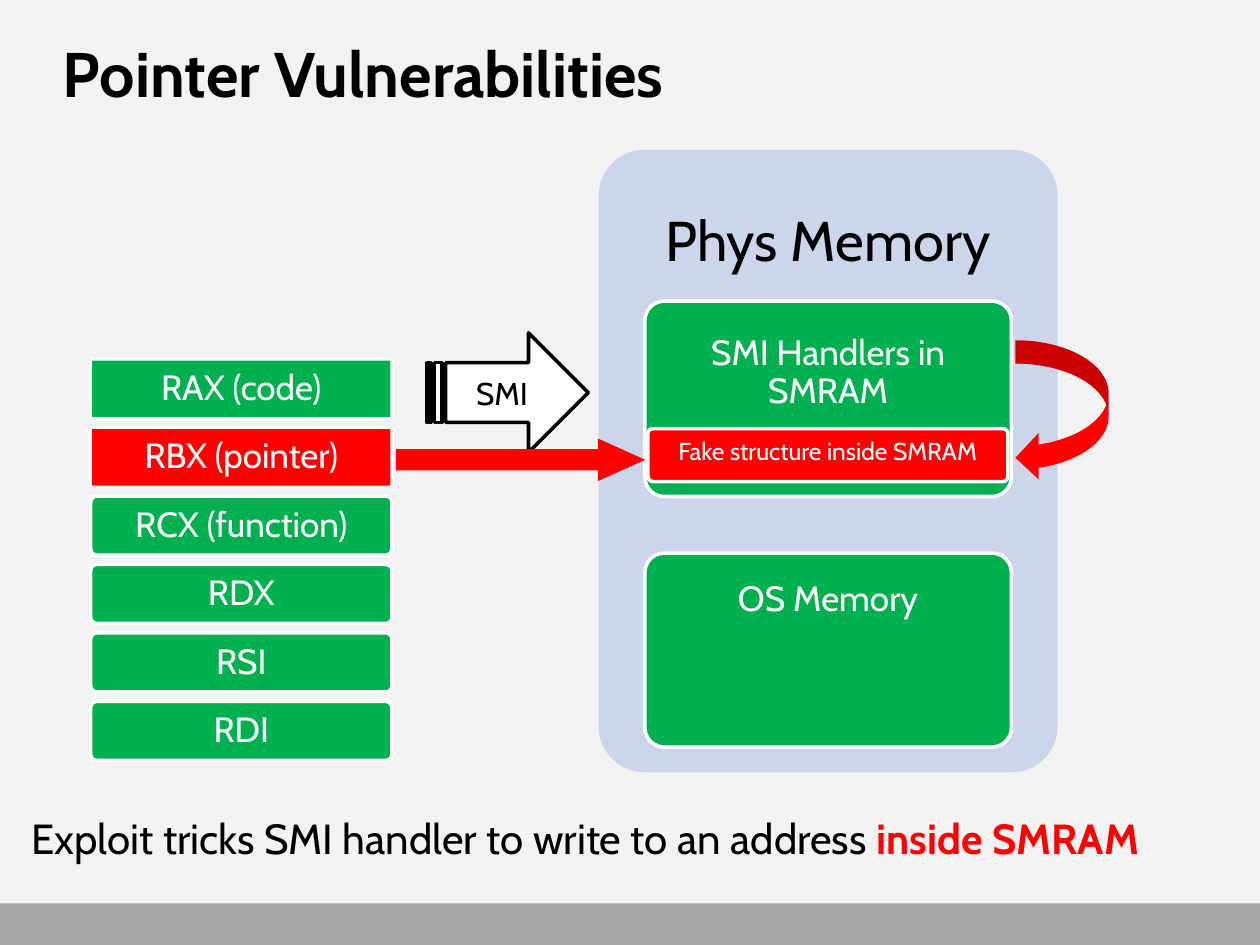
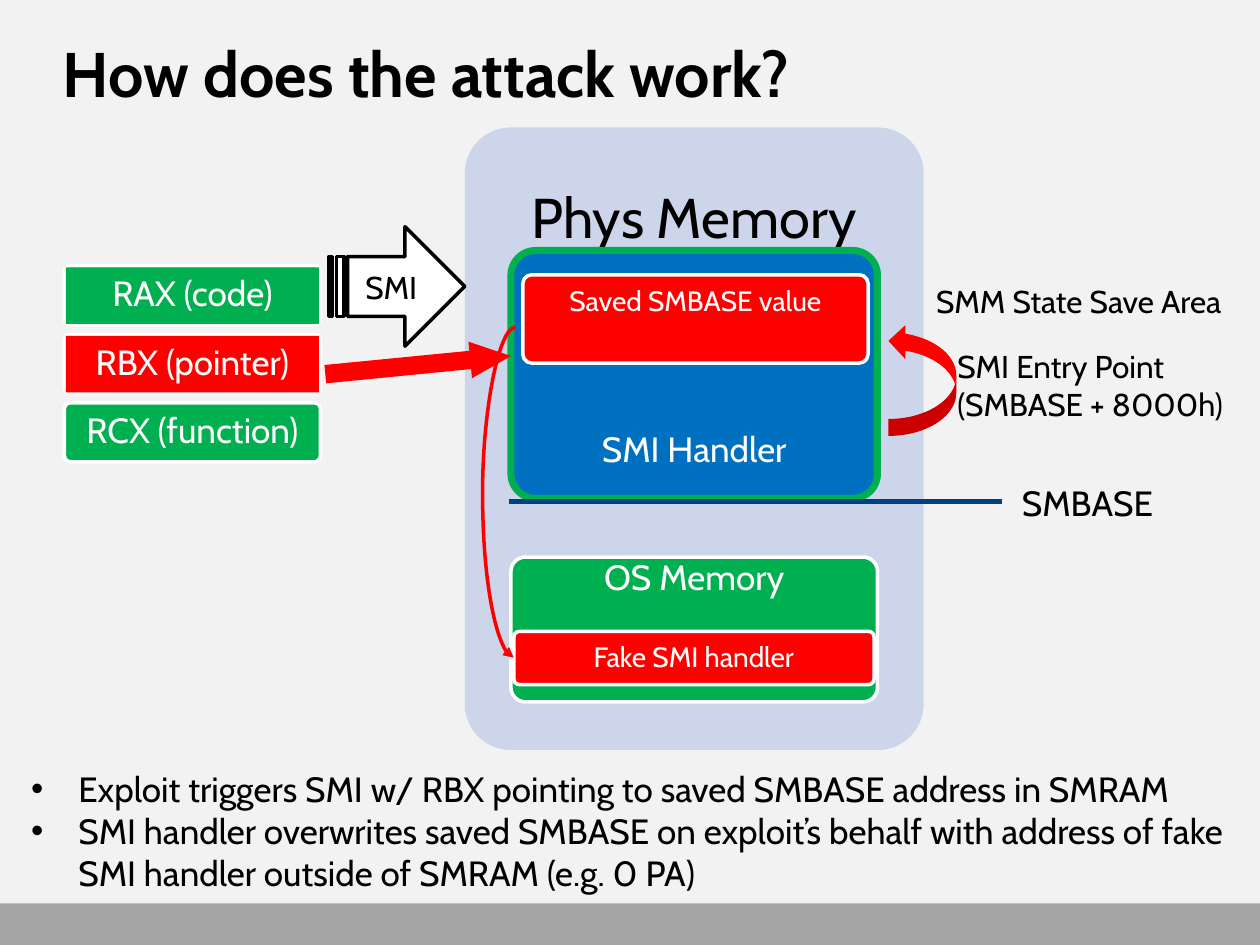
from lxml import etree
from pptx import Presentation
from pptx import util as u
from pptx.dml.color import RGBColor
from pptx.enum import shapes, text
from pptx.oxml import ns

FONT = "Cabin"
BLACK, WHITE, GREEN, RED = "000000", "FFFFFF", "00B050", "FF0000"
BLUE, NAVY, PALE, GREY, PAPER = "0070C0", "004280", "CCD5EA", "A6A6A6", "F2F2F2"
WIDTH, HEIGHT = 25.4, 19.05
PANEL_WIDTH, PANEL_HEIGHT, BLOCK_WIDTH = 9.25, 12.55, 7.39
LABEL_HEIGHT = 2
ROW_HEIGHT, ROW_STEP = 1.19, 1.38
SHAPE = shapes.MSO_SHAPE
ANCHOR = text.MSO_ANCHOR
CENTER = text.PP_ALIGN.CENTER


def color(code):
    return RGBColor.from_string(code)


def lengths(*values):
    return [u.Cm(value) for value in values]


def add_span(para, content, size, code=BLACK, bold=False):
    span = para.add_run()
    span.text = content
    span.font.name = FONT
    span.font.size = u.Pt(size)
    span.font.bold = bold
    span.font.color.rgb = color(code)


def add_box(slide, rect, wrap=True, inset=None):
    frame = slide.shapes.add_textbox(*lengths(*rect)).text_frame
    frame.word_wrap = wrap
    if inset is not None:
        frame.margin_left = frame.margin_right = u.Cm(inset)
        frame.margin_top = frame.margin_bottom = u.Cm(inset)
    return frame


def add_note(slide, rect, content, size):
    add_span(add_box(slide, rect).paragraphs[0], content, size)


def add_label(slide, rect, content, size=20, code=WHITE, inset=0.15):
    frame = add_box(slide, rect, inset=inset)
    frame.vertical_anchor = ANCHOR.MIDDLE
    para = frame.paragraphs[0]
    para.alignment = CENTER
    para.line_spacing = 0.9
    add_span(para, content, size, code)


def add_figure(slide, kind, rect, fill, line=None, weight=2, adjust=()):
    figure = slide.shapes.add_shape(kind, *lengths(*rect))
    figure.shadow.inherit = False
    figure.fill.solid()
    figure.fill.fore_color.rgb = color(fill)
    if line:
        figure.line.color.rgb = color(line)
        figure.line.width = u.Pt(weight)
    else:
        figure.line.fill.background()
    for index, value in enumerate(adjust):
        figure.adjustments[index] = value
    return figure


def add_rounded(slide, rect, fill, line=None, weight=2):
    return add_figure(slide, SHAPE.ROUNDED_RECTANGLE, rect, fill, line, weight, [0.1])


def write_inside(figure, content, size, code, anchor):
    frame = figure.text_frame
    frame.word_wrap = True
    frame.vertical_anchor = anchor
    para = frame.paragraphs[0]
    para.alignment = CENTER
    add_span(para, content, size, code)


def add_target(slide, rect, content, size):
    target = add_rounded(slide, rect, RED, WHITE)
    write_inside(target, content, size, WHITE, ANCHOR.TOP)


def add_interrupt(slide, rect):
    arrow = add_figure(slide, SHAPE.STRIPED_RIGHT_ARROW, rect, WHITE, BLACK)
    write_inside(arrow, "SMI", 18, BLACK, ANCHOR.MIDDLE)


def add_pointer(slide, rect, rotation=0):
    arrow = add_figure(slide, SHAPE.RIGHT_ARROW, rect, RED, adjust=[0.5, 1.114])
    arrow.rotation = rotation


def add_loop(slide, rect, upward=False):
    loop = add_figure(slide, SHAPE.CURVED_LEFT_ARROW, rect, RED)
    if upward:
        loop._element.spPr.find(ns.qn("a:xfrm")).set("flipV", "1")


def add_memory(slide, left, top, blocks):
    add_rounded(slide, (left, top, PANEL_WIDTH, PANEL_HEIGHT), PALE)
    add_label(slide, (left, top, PANEL_WIDTH, 3.76), "Phys Memory", 32, BLACK, 0.33)
    block_left = left + (PANEL_WIDTH - BLOCK_WIDTH) / 2
    for name, block_top, height, middle, fill, line, weight in blocks:
        add_rounded(slide, (block_left, block_top, BLOCK_WIDTH, height), fill, line, weight)
        label_top = middle - LABEL_HEIGHT / 2
        add_label(slide, (block_left + 0.13, label_top, BLOCK_WIDTH - 0.26, LABEL_HEIGHT), name)


def add_registers(slide, left, top, width, names):
    for index, name in enumerate(names):
        row_top = top + index * ROW_STEP
        fill = RED if "pointer" in name else GREEN
        inner = (left + 0.03, row_top + 0.03, width - 0.06, ROW_HEIGHT - 0.05)
        add_rounded(slide, (left, row_top, width, ROW_HEIGHT), fill, WHITE)
        if index < 2:
            add_figure(slide, SHAPE.RECTANGLE, inner, fill)
        add_label(slide, inner, name)


def add_line(slide, kind, start, end, code, weight):
    line = slide.shapes.add_connector(kind, *lengths(*start, *end))
    line.line.color.rgb = color(code)
    line.line.width = u.Pt(weight)
    etree.SubElement(line._element.spPr, ns.qn("a:effectLst"))
    return line


def add_redirect(slide, start, end, bulge):
    curve = add_line(slide, shapes.MSO_CONNECTOR.CURVE, start, end, RED, 2)
    etree.SubElement(curve.line._get_or_add_ln(), ns.qn("a:tailEnd"), type="triangle")
    geometry = curve._element.spPr.find(ns.qn("a:prstGeom"))
    guides = geometry.find(ns.qn("a:avLst"))
    if guides is None:
        guides = etree.SubElement(geometry, ns.qn("a:avLst"))
    ratio = round(bulge / (start[0] - end[0]) * 100000)
    etree.SubElement(guides, ns.qn("a:gd"), name="adj1", fmla=f"val {ratio}")


def add_bullets(slide, rect, items, size):
    frame = add_box(slide, rect)
    for index, item in enumerate(items):
        para = frame.add_paragraph() if index else frame.paragraphs[0]
        properties = para._p.get_or_add_pPr()
        properties.set("marL", str(u.Cm(0.95)))
        properties.set("indent", str(u.Cm(-0.95)))
        etree.SubElement(properties, ns.qn("a:buFont"), typeface="Arial")
        etree.SubElement(properties, ns.qn("a:buChar"), char="•")
        add_span(para, item, size)


def add_page(deck, title):
    slide = deck.slides.add_slide(deck.slide_layouts[6])
    slide.background.fill.solid()
    slide.background.fill.fore_color.rgb = color(PAPER)
    add_figure(slide, SHAPE.RECTANGLE, (0, 18.21, WIDTH, HEIGHT - 18.21), GREY)
    heading = add_box(slide, (1.27, 0.69, 22.86, 2.74), inset=0)
    add_span(heading.paragraphs[0], title, 36, bold=True)
    return slide


def build_pointer_page(deck):
    slide = add_page(deck, "Pointer Vulnerabilities")
    add_memory(slide, 12.07, 3.02, [
        ("SMI Handlers in SMRAM", 6.07, 3.94, 7.52, GREEN, WHITE, 2),
        ("OS Memory", 11.15, 3.91, 12.09, GREEN, WHITE, 2),
    ])
    para = add_box(slide, (0.38, 16.26, 25, 1.27), wrap=False).paragraphs[0]
    add_span(para, "Exploit tricks SMI handler to write to an address ", 24)
    add_span(para, "inside SMRAM", 24, RED, True)
    add_loop(slide, (20.47, 6.86, 1.88, 2.84))
    add_registers(slide, 1.83, 7.24, 6.07, [
        "RAX (code)", "RBX (pointer)", "RCX (function)", "RDX", "RSI", "RDI"])
    add_target(slide, (13.06, 8.64, 7.26, 1.07), "Fake structure inside SMRAM", 14)
    add_interrupt(slide, (8.61, 6.71, 3.25, 2.41))
    add_pointer(slide, (7.98, 8.84, 5.03, 0.86))


def build_attack_page(deck):
    slide = add_page(deck, "How does the attack work?")
    add_memory(slide, 9.37, 2.57, [
        ("SMI Handler", 5.05, 5, 9.09, BLUE, GREEN, 4),
        ("OS Memory", 11.23, 2.92, 11.67, GREEN, WHITE, 2),
    ])
    add_bullets(slide, (0.38, 15.34, 25, 2.82), [
        "Exploit triggers SMI w/ RBX pointing to saved SMBASE address in SMRAM",
        "SMI handler overwrites saved SMBASE on exploit’s behalf with address of fake "
        "SMI handler outside of SMRAM (e.g. 0 PA)",
    ], 20)
    add_loop(slide, (17.91, 6.53, 1.37, 2.26), upward=True)
    add_registers(slide, 1.3, 5.36, 5.16, ["RAX (code)", "RBX (pointer)", "RCX (function)"])
    add_interrupt(slide, (6.63, 4.57, 2.74, 2.41))
    add_pointer(slide, (6.55, 6.99, 3.76, 0.74), 354.4)
    add_line(slide, shapes.MSO_CONNECTOR.STRAIGHT, (20.19, 10.11), (10.26, 10.11), NAVY, 3)
    add_note(slide, (20.35, 9.58, 3.61, 1.12), "SMBASE", 20)
    add_target(slide, (10.36, 12.73, 7.26, 1.07), "Fake SMI handler", 16)
    add_redirect(slide, (10.39, 6.6), (10.36, 13.26), 0.66)
    add_target(slide, (10.54, 5.54, 6.96, 1.78), "Saved SMBASE value", 16)
    add_note(slide, (18.62, 5.56, 6.78, 1.02), "SMM State Save Area", 18)
    add_note(slide, (19.05, 6.88, 6.17, 1.8), "SMI Entry Point (SMBASE + 8000h)", 18)


def main():
    deck = Presentation()
    deck.slide_width, deck.slide_height = lengths(WIDTH, HEIGHT)
    build_pointer_page(deck)
    build_attack_page(deck)
    deck.save("out.pptx")


if __name__ == "__main__":
    main()
